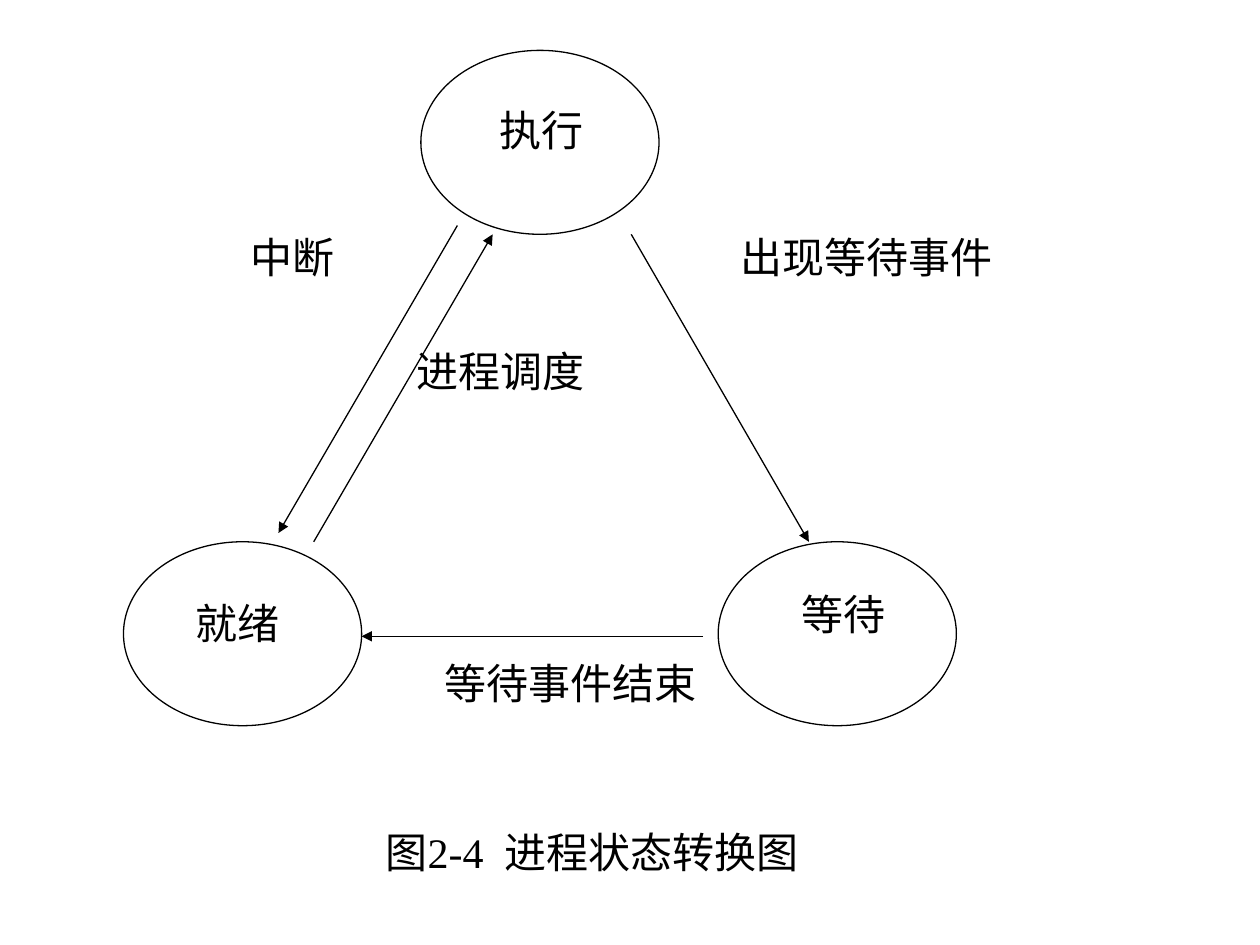
from dataclasses import dataclass

from lxml import etree
from pptx import Presentation
from pptx.dml.color import RGBColor
from pptx.enum.shapes import MSO_CONNECTOR, MSO_SHAPE
from pptx.enum.text import MSO_ANCHOR, MSO_AUTO_SIZE, PP_ALIGN
from pptx.oxml.ns import qn
from pptx.util import Inches, Pt

OVAL = MSO_SHAPE.OVAL
STRAIGHT = MSO_CONNECTOR.STRAIGHT
CENTER = PP_ALIGN.CENTER
TOP, MIDDLE = MSO_ANCHOR.TOP, MSO_ANCHOR.MIDDLE
NO_FIT = MSO_AUTO_SIZE.NONE


@dataclass(frozen=True)
class Theme:
    ink: RGBColor = RGBColor(0, 0, 0)
    font: str = "Times New Roman"
    size: float = 24
    line: float = 0.75


def write(tf, text, *, theme, anchor=TOP, wrap=True):
    """Put one centred paragraph into a text frame."""
    tf.auto_size = NO_FIT
    tf.word_wrap = wrap
    tf.vertical_anchor = anchor
    p = tf.paragraphs[0]
    p.alignment = CENTER
    r = p.add_run()
    r.text = text
    r.font.name = theme.font
    r.font.size = Pt(theme.size)
    r.font.color.rgb = theme.ink


class Diagram:
    def __init__(self, slide, theme):
        self.s = slide
        self.theme = theme

    def outline(self, sp):
        sp.line.color.rgb = self.theme.ink
        sp.line.width = Pt(self.theme.line)

    def state(self, left, top):
        sp = self.s.shapes.add_shape(
            OVAL, Inches(left), Inches(top), Inches(1.89), Inches(1.46))
        sp.shadow.inherit = False
        sp.fill.background()
        self.outline(sp)

    def label(self, text, left, top, width=2.91, height=1.32):
        sp = self.s.shapes.add_textbox(
            Inches(left), Inches(top), Inches(width), Inches(height))
        write(sp.text_frame, text, theme=self.theme)

    def arrow(self, start, end):
        sp = self.s.shapes.add_connector(
            STRAIGHT, *(Inches(v) for v in (*start, *end)))
        self.outline(sp)
        etree.SubElement(sp.line._get_or_add_ln(), qn("a:tailEnd"), type="triangle")
        etree.SubElement(sp._element.spPr, qn("a:effectLst"))

    def caption(self, text, left, top, width, height):
        sp = self.s.shapes.title
        sp.left, sp.top = Inches(left), Inches(top)
        sp.width, sp.height = Inches(width), Inches(height)
        write(sp.text_frame, text, theme=self.theme, anchor=MIDDLE, wrap=False)


def main():
    prs = Presentation()
    prs.slide_width, prs.slide_height = Inches(10), Inches(7.5)
    title_only = prs.slide_layouts[5]
    d = Diagram(prs.slides.add_slide(title_only), Theme())

    # States: running above, ready and waiting below
    for left, top in ((3.34, 0.4), (0.98, 4.3), (5.7, 4.3)):
        d.state(left, top)
    d.label("执行", 2.84, 0.78, height=0.92)
    d.label("就绪", 0.43, 4.69)
    d.label("等待", 5.24, 4.62)

    # Transitions between the states
    for start, end in (
        ((2.49, 4.3), (3.91, 1.86)),
        ((3.63, 1.79), (2.21, 4.23)),
        ((5.01, 1.86), (6.42, 4.3)),
        ((5.58, 5.05), (2.87, 5.05)),
    ):
        d.arrow(start, end)

    # Transition names
    d.label("中断", 0.87, 1.79)
    d.label("进程调度", 2.52, 2.69)
    d.label("等待事件结束", 2.95, 5.17, width=3.16)
    d.label("出现等待事件", 5.01, 1.79, width=3.74)

    # Figure caption
    d.caption("图2-4  进程状态转换图", 2.88, 6.51, 3.64, 0.5)

    prs.save("out.pptx")


if __name__ == "__main__":
    main()
